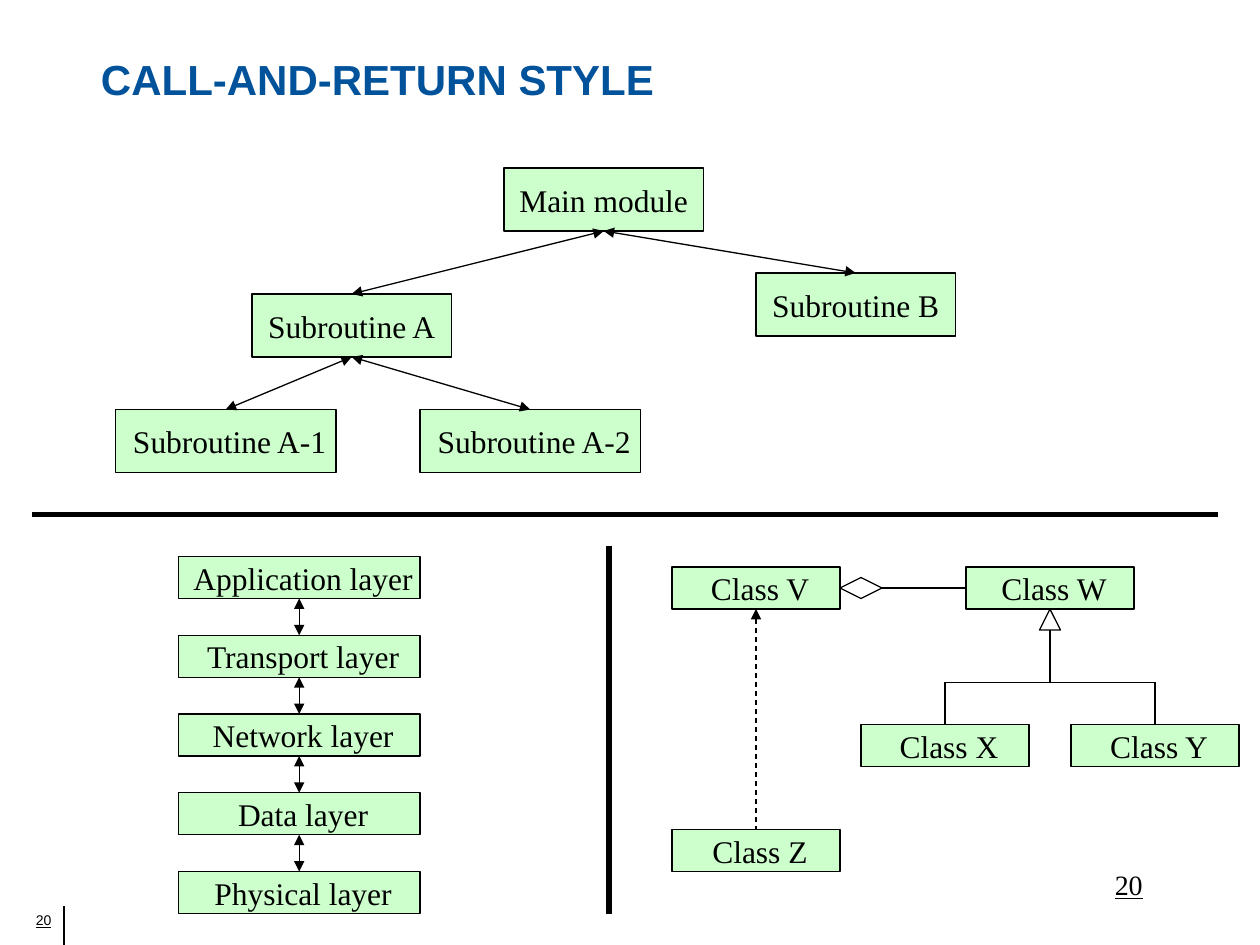
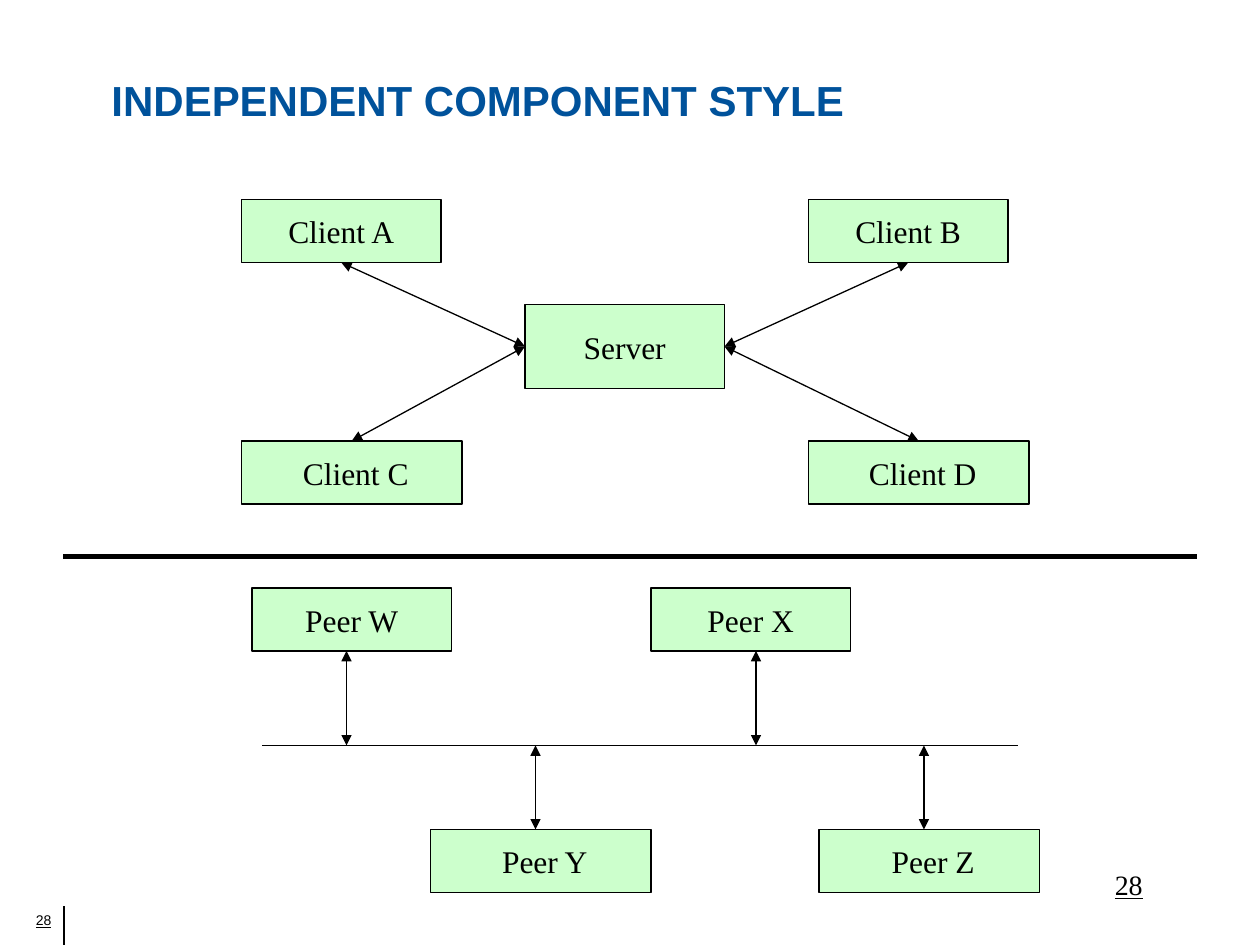
from itertools import pairwise

from lxml import etree
from pptx import Presentation
from pptx.dml.color import RGBColor
from pptx.enum.dml import MSO_LINE
from pptx.enum.shapes import MSO_CONNECTOR, MSO_SHAPE
from pptx.enum.text import MSO_ANCHOR, PP_ALIGN
from pptx.oxml.ns import qn
from pptx.util import Cm, Pt

STRAIGHT = MSO_CONNECTOR.STRAIGHT
RECTANGLE = MSO_SHAPE.RECTANGLE
TRIANGLE = MSO_SHAPE.ISOSCELES_TRIANGLE
DIAMOND = MSO_SHAPE.DIAMOND
DASH = MSO_LINE.DASH
LEFT, CENTER, RIGHT = PP_ALIGN.LEFT, PP_ALIGN.CENTER, PP_ALIGN.RIGHT
TOP_ANCHOR, MIDDLE = MSO_ANCHOR.TOP, MSO_ANCHOR.MIDDLE
TOP_SIDE, LEFT_SIDE, BOTTOM_SIDE, RIGHT_SIDE = range(4)

BLACK = "000000"
BLUE = "00529B"
GREEN = "CCFFCC"
SERIF = "Times New Roman"
SANS = "Arial"
TITLE_ONLY = 5
THIN, THICK = 0.75, 3
INSET = 0.25
NUDGE = 0.16
BOTH_ENDS = ("headEnd", "tailEnd")


def color(value):
    """Turn a hex string into a colour."""
    return RGBColor.from_string(value)


def grid(units):
    """Convert grid units, twelve to the inch, to a length."""
    return Cm(units * 2.54 / 12)


def write(frame, text, font=SERIF, size=18, fill=BLACK, bold=False, underline=False,
          align=CENTER, anchor=TOP_ANCHOR, wrap=True, insets=(INSET, 0.13, INSET, 0.13)):
    """Put one formatted paragraph into a text frame."""
    frame.word_wrap = wrap
    frame.vertical_anchor = anchor
    frame.margin_left, frame.margin_top, frame.margin_right, frame.margin_bottom = map(Cm, insets)
    frame.text = text
    paragraph = frame.paragraphs[0]
    paragraph.alignment = align
    style = paragraph.runs[0].font
    style.name, style.size = font, Pt(size)
    style.bold, style.underline = bold, underline
    style.color.rgb = color(fill)


class Deck:
    """Holds the shared style and the current slide."""

    def __init__(self):
        """Start an empty 4:3 presentation."""
        self.show = Presentation()
        self.show.slide_width, self.show.slide_height = Cm(25.4), Cm(19.05)
        self.slide = None

    def start(self, title, left, top, number):
        """Add a slide with its title, page numbers and corner rule."""
        self.slide = self.show.slides.add_slide(self.show.slide_layouts[TITLE_ONLY])
        heading = self.slide.shapes.title
        heading.left, heading.top, heading.width, heading.height = map(grid, (left, top, 102, 15))
        write(heading.text_frame, title, font=SANS, size=24, fill=BLUE, bold=True,
              align=LEFT, anchor=MIDDLE, insets=(0.13,) * 4)
        self.line(6.1, 86.3, 6.1, 90)
        self.label(number, 0.6, 86.2, 4.3, 2.8, font=SANS, size=8, align=RIGHT,
                   insets=(INSET, 0.13, 0, 0.13))
        self.label(number, 95, 82, 25, 6, size=16)

    def label(self, text, left, top, width, height, **style):
        """Add an underlined text box."""
        holder = self.slide.shapes.add_textbox(*map(grid, (left, top, width, height)))
        write(holder.text_frame, text, underline=True, **style)

    def symbol(self, kind, left, top, width, height):
        """Add an unfilled outline shape."""
        outline = self.slide.shapes.add_shape(kind, *map(grid, (left, top, width, height)))
        outline.shadow.inherit = False
        outline.fill.background()
        outline.line.color.rgb = color(BLACK)
        outline.line.width = Pt(THIN)
        return outline

    def box(self, text, left, top, width=19, height=6, nudge=0):
        """Add a green component box, its text optionally nudged right."""
        component = self.symbol(RECTANGLE, left, top, width, height)
        component.fill.solid()
        component.fill.fore_color.rgb = color(GREEN)
        write(component.text_frame, text, anchor=MIDDLE, wrap=False,
              insets=(INSET + nudge, 0.13, INSET, 0.13))
        return component

    def line(self, x1, y1, x2, y2, weight=THIN, ends=(), dash=None):
        """Add a straight line with optional arrowheads."""
        rule = self.slide.shapes.add_connector(STRAIGHT, *map(grid, (x1, y1, x2, y2)))
        rule.line.color.rgb = color(BLACK)
        rule.line.width = Pt(weight)
        if dash:
            rule.line.dash_style = dash
        properties = rule.element.spPr
        for end in ends:
            etree.SubElement(properties.find(qn("a:ln")), qn(f"a:{end}"), type="triangle")
        etree.SubElement(properties, qn("a:effectLst"))
        return rule

    def link(self, source, source_side, target, target_side, **style):
        """Join the sides of two shapes with a line."""
        joint = self.line(0, 0, 1, 1, **style)
        joint.begin_connect(source, source_side)
        joint.end_connect(target, target_side)


def call_and_return(deck):
    """Build the slide on subroutines, layers and classes."""
    deck.start("CALL-AND-RETURN STYLE", 9, 0, "20")

    main_module = deck.box("Main module", 48, 16)
    routine_a = deck.box("Subroutine A", 24, 28)
    routine_b = deck.box("Subroutine B", 72, 26)
    routine_a1 = deck.box("Subroutine A-1", 11, 39, width=21, nudge=NUDGE)
    routine_a2 = deck.box("Subroutine A-2", 40, 39, width=21, nudge=NUDGE)
    for caller, called in ((main_module, routine_a), (main_module, routine_b),
                           (routine_a, routine_a1), (routine_a, routine_a2)):
        deck.link(caller, BOTTOM_SIDE, called, TOP_SIDE, ends=BOTH_ENDS)

    deck.line(3, 49, 116, 49, weight=THICK)
    deck.line(58, 52, 58, 87, weight=THICK)

    names = ("Application", "Transport", "Network", "Data", "Physical")
    layers = [deck.box(f"{name} layer", 17, 53 + 7.5 * row, 23, 4, NUDGE)
              for row, name in enumerate(names)]
    for upper, lower in pairwise(layers):
        deck.link(upper, BOTTOM_SIDE, lower, TOP_SIDE, ends=BOTH_ENDS)

    places = {"V": (64, 54), "W": (92, 54), "X": (82, 69), "Y": (102, 69), "Z": (64, 79)}
    classes = {name: deck.box(f"Class {name}", left, top, 16, 4, NUDGE)
               for name, (left, top) in places.items()}
    aggregation = deck.symbol(DIAMOND, 80, 55, 4, 2)
    deck.link(aggregation, RIGHT_SIDE, classes["W"], LEFT_SIDE)
    deck.link(classes["V"], BOTTOM_SIDE, classes["Z"], TOP_SIDE, ends=("headEnd",), dash=DASH)
    deck.symbol(TRIANGLE, 99, 58, 2, 2)
    deck.line(100, 60, 100, 65)
    deck.line(90, 65, 110, 65)
    for subclass_x in (90, 110):
        deck.line(subclass_x, 65, subclass_x, 69)


def independent_component(deck):
    """Build the slide on client-server and peer-to-peer components."""
    deck.start("INDEPENDENT COMPONENT STYLE", 10, 2, "28")

    server = deck.box("Server", 50, 29, height=8)
    for left, server_side, upper, lower in ((23, LEFT_SIDE, "A", "C"), (77, RIGHT_SIDE, "B", "D")):
        upper_client = deck.box(f"Client {upper}", left, 19)
        lower_client = deck.box(f"Client {lower}", left, 42, width=21, nudge=NUDGE)
        deck.link(server, server_side, upper_client, BOTTOM_SIDE, ends=BOTH_ENDS)
        deck.link(server, server_side, lower_client, TOP_SIDE, ends=BOTH_ENDS)

    deck.line(6, 53, 114, 53, weight=THICK)

    bus = 71
    deck.line(25, bus, 97, bus)
    for name, left, arrow_x in (("W", 24, 33), ("X", 62, 72)):
        deck.box(f"Peer {name}", left, 56)
        deck.line(arrow_x, 62, arrow_x, bus, ends=BOTH_ENDS)
    for name, left, arrow_x in (("Y", 41, 51), ("Z", 78, 88)):
        deck.box(f"Peer {name}", left, 79, width=21, nudge=NUDGE)
        deck.line(arrow_x, bus, arrow_x, 79, ends=BOTH_ENDS)


def main():
    """Build both slides and save them."""
    deck = Deck()
    call_and_return(deck)
    independent_component(deck)
    deck.show.save("out.pptx")


if __name__ == "__main__":
    main()
